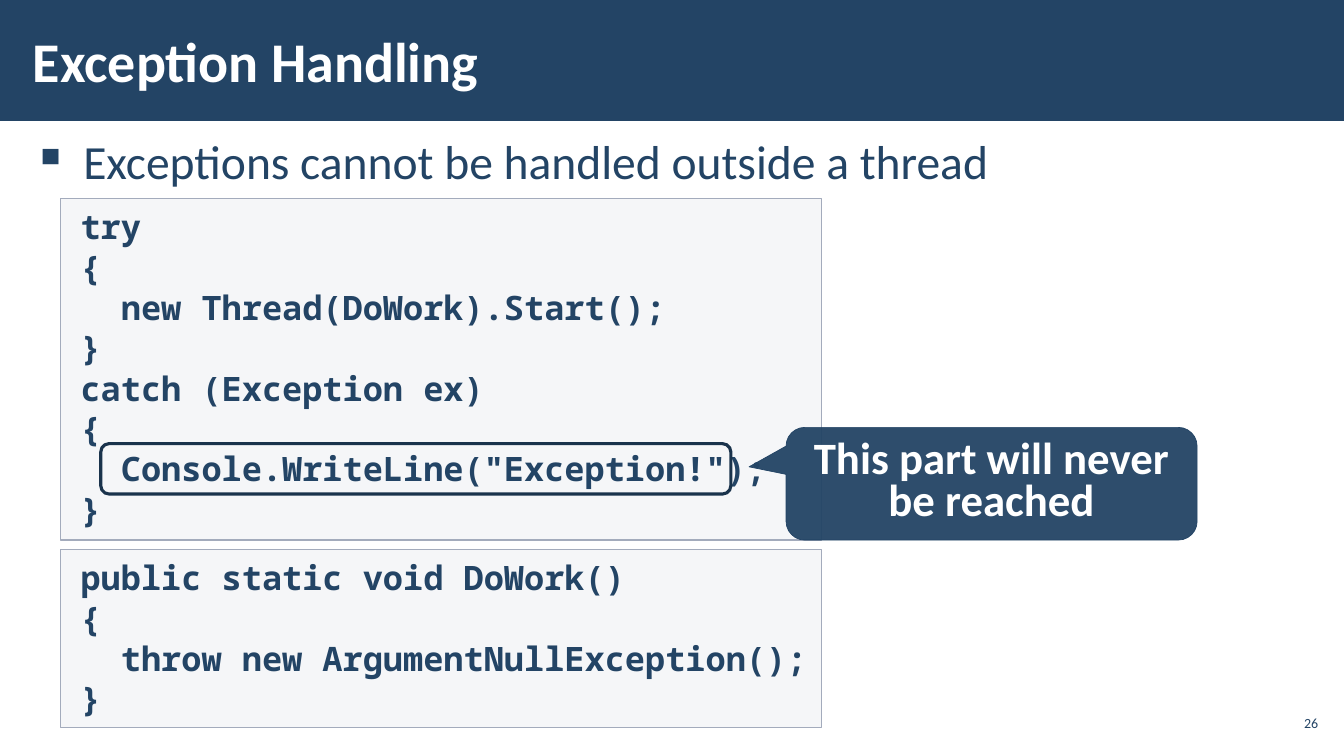
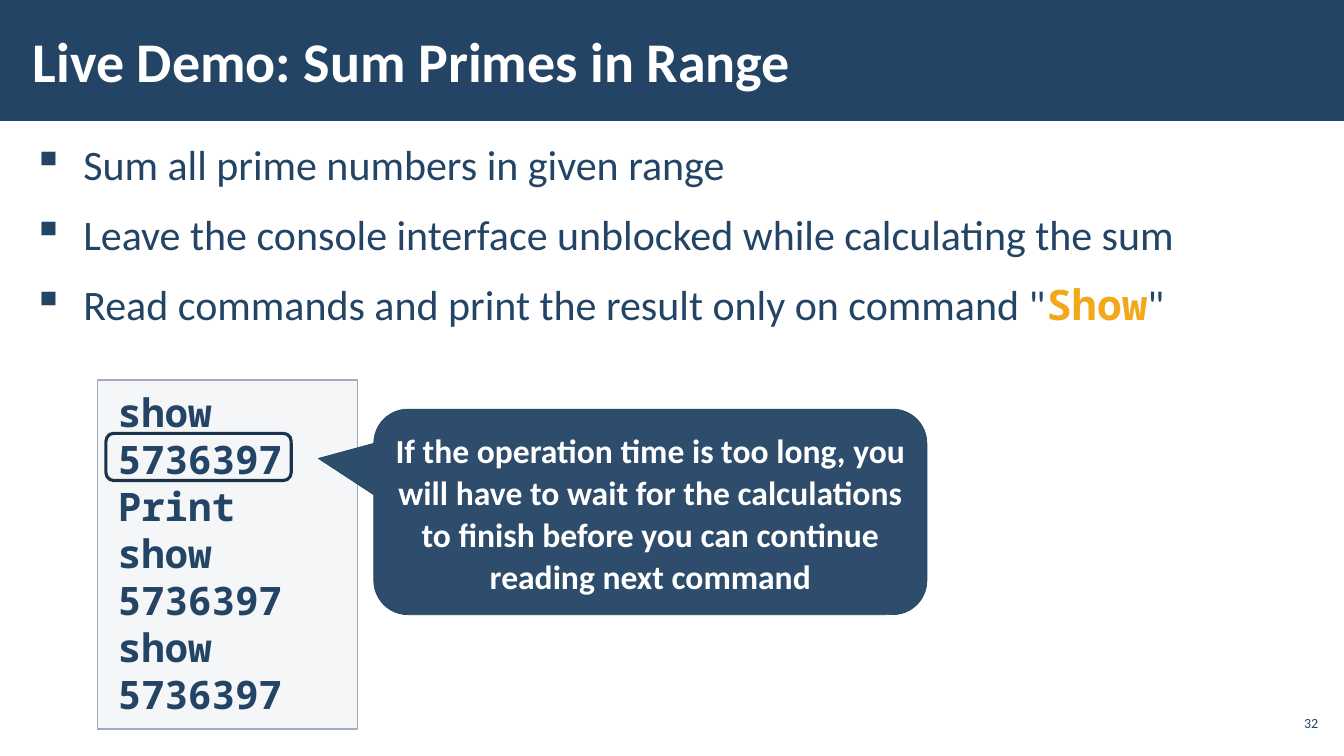
from lxml import etree
from pptx import Presentation
from pptx import util as u
from pptx.dml.color import RGBColor
from pptx.enum import shapes, text
from pptx.oxml import ns

Cm, Pt = u.Cm, u.Pt
MSO, ALIGN, ANCHOR = shapes.MSO_SHAPE, text.PP_ALIGN, text.MSO_ANCHOR


class Theme:
    navy = RGBColor.from_string("234465")
    outline = RGBColor.from_string("1A334C")
    white = RGBColor.from_string("FFFFFF")
    orange = RGBColor.from_string("F2A819")
    panel = RGBColor.from_string("C2C7D2")
    panel_edge = RGBColor.from_string("A3ABBC")
    sans, mono = "Calibri", "Noto Sans Mono"
    title_size, number_size = Pt(40), Pt(10)


# Each text style: font, paragraph and frame attributes, inner margins in cm
STYLES = {
    "title": {
        "font": {"name": Theme.sans, "color": Theme.white, "size": Theme.title_size, "bold": True},
        "frame": {"vertical_anchor": ANCHOR.MIDDLE}, "margins": (0.3, 0.1)},
    "bullets": {
        "font": {"name": Theme.sans, "color": Theme.navy},
        "para": {"space_before": Pt(6), "space_after": Pt(6)},
        "margins": (0.3, 0.1), "indent": (1.27, -1.27), "bullet": "▪"},
    "number": {
        "font": {"name": Theme.sans, "color": Theme.navy, "size": Theme.number_size},
        "para": {"alignment": ALIGN.RIGHT},
        "frame": {"vertical_anchor": ANCHOR.MIDDLE}, "margins": (0.1, 0.1)},
    "code": {
        "font": {"name": Theme.mono, "color": Theme.navy, "bold": True},
        "para": {"alignment": ALIGN.LEFT},
        "frame": {"vertical_anchor": ANCHOR.TOP}, "margins": (0, 0.2), "indent": (0.51, 0)},
    "callout": {
        "font": {"name": Theme.sans, "color": Theme.white, "bold": True},
        "para": {"alignment": ALIGN.CENTER, "line_spacing": Pt(30)},
        "frame": {"vertical_anchor": ANCHOR.MIDDLE}, "margins": (0.25, 0.2)},
}
KEYWORD = {"name": Theme.mono, "color": Theme.orange, "bold": True}

# Each shape look: preset, fill, opacity in percent, line colour, line width
LOOKS = {
    "band": (MSO.RECTANGLE, Theme.navy, 100, None, 0),
    "code": (MSO.RECTANGLE, Theme.panel, 15, Theme.panel_edge, 1),
    "highlight": (MSO.ROUNDED_RECTANGLE, None, 100, Theme.outline, 2.25),
    "callout": (MSO.ROUNDED_RECTANGULAR_CALLOUT, Theme.navy, 95, Theme.navy, 0.5),
}

SLIDES = [
    {
        "title": "Exception Handling", "number": "26",
        "bullets": ["Exceptions cannot be handled outside a thread"],
        "bullet_size": 34, "bullet_spacing": 0.95, "bullet_height": 1.88,
        "code_size": 24,
        "code": [
            ((1.52, 5, 19.18, 8.61), [
                "try",
                "{",
                "  new Thread(DoWork).Start();",
                "}",
                "catch (Exception ex)",
                "{",
                '  Console.WriteLine("Exception!");',
                "}"]),
            ((1.52, 13.84, 19.18, 4.5), [
                "public static void DoWork()",
                "{",
                "  throw new ArgumentNullException();",
                "}"]),
        ],
        "highlight": (2.54, 11.18, 15.88, 1.27),
        "callout": (19.81, 10.77, 10.36, 2.84),
        "pointer": (-0.59, -0.15), "callout_size": 32,
        "callout_text": "This part will never be reached",
    },
    {
        "title": "Live Demo: Sum Primes in Range", "number": "32",
        "bullets": [
            "Sum all prime numbers in given range",
            "Leave the console interface unblocked while calculating the sum",
            'Read commands and print the result only on command "*Show*"'],
        "bullet_size": 30, "bullet_spacing": 1.05, "bullet_height": 14.45,
        "code_size": 28,
        "code": [
            ((2.46, 9.58, 6.55, 8.79),
             ["show", "5736397", "Print", "show", "5736397", "show", "5736397"]),
        ],
        "highlight": (2.67, 10.92, 4.67, 1.19),
        "callout": (9.42, 10.31, 13.94, 5.18),
        "pointer": (-0.6, -0.26), "callout_size": 24,
        "callout_text": "If the operation time is too long, you will have to wait for the "
                        "calculations to finish before you can continue reading next command",
    },
]


def add_look(s, look, at):
    """Add a preset shape, placed in cm, with one of the LOOKS."""
    preset, fill, opacity, line, width = LOOKS[look]
    sp = s.shapes.add_shape(preset, *map(Cm, at))
    sp.shadow.inherit = False
    if fill is None:
        sp.fill.background()
    else:
        sp.fill.solid()
        sp.fill.fore_color.rgb = fill
        if opacity < 100:
            color = sp._element.spPr.find(ns.qn("a:solidFill"))[0]
            etree.SubElement(color, ns.qn("a:alpha"), val=str(opacity * 1000))
    if line is None:
        sp.line.fill.background()
    else:
        sp.line.color.rgb = line
        sp.line.width = Pt(width)
    return sp


def write(sp, lines, style, size=None, spacing=None):
    """Write one paragraph per line; words between asterisks become keywords."""
    fmt = STYLES[style]
    tf = sp.text_frame
    tf.word_wrap = True
    side, edge = map(Cm, fmt["margins"])
    tf.margin_left = tf.margin_right = side
    tf.margin_top = tf.margin_bottom = edge
    for name, value in fmt.get("frame", {}).items():
        setattr(tf, name, value)
    for i, line in enumerate(lines):
        p = tf.paragraphs[0] if i == 0 else tf.add_paragraph()
        for name, value in fmt.get("para", {}).items():
            setattr(p, name, value)
        if spacing:
            p.line_spacing = spacing
        pPr = p._p.get_or_add_pPr()
        if "indent" in fmt:
            left, first = map(Cm, fmt["indent"])
            pPr.set("marL", str(left))
            pPr.set("indent", str(first))
        if "bullet" in fmt:
            etree.SubElement(pPr, ns.qn("a:buChar"), char=fmt["bullet"])
        for j, part in enumerate(line.split("*")):
            r = p.add_run()
            r.text = part
            font = {**fmt["font"], **(KEYWORD if j % 2 else {})}
            if size:
                font["size"] = Pt(size)
            r.font.color.rgb = font.pop("color")
            for name, value in font.items():
                setattr(r.font, name, value)


prs = Presentation()
prs.slide_width, prs.slide_height = Cm(33.87), Cm(19.05)

for page in SLIDES:
    s = prs.slides.add_slide(prs.slide_layouts[6])

    add_look(s, "band", (0, 0, 33.87, 3.05))
    sp = s.shapes.add_textbox(Cm(0.53), Cm(3.33), Cm(32.82), Cm(page["bullet_height"]))
    write(sp, page["bullets"], "bullets", page["bullet_size"], page["bullet_spacing"])
    sp = s.shapes.add_textbox(Cm(0.53), Cm(0.28), Cm(26.42), Cm(2.46))
    write(sp, [page["title"]], "title")
    sp = s.shapes.add_textbox(Cm(32.13), Cm(17.78), Cm(1.19), Cm(0.86))
    write(sp, [page["number"]], "number")

    for at, lines in page["code"]:
        write(add_look(s, "code", at), lines, "code", page["code_size"])
    add_look(s, "highlight", page["highlight"])

    sp = add_look(s, "callout", page["callout"])
    for i, offset in enumerate(page["pointer"]):
        sp.adjustments[i] = offset
    write(sp, [page["callout_text"]], "callout", page["callout_size"])

prs.save("out.pptx")
